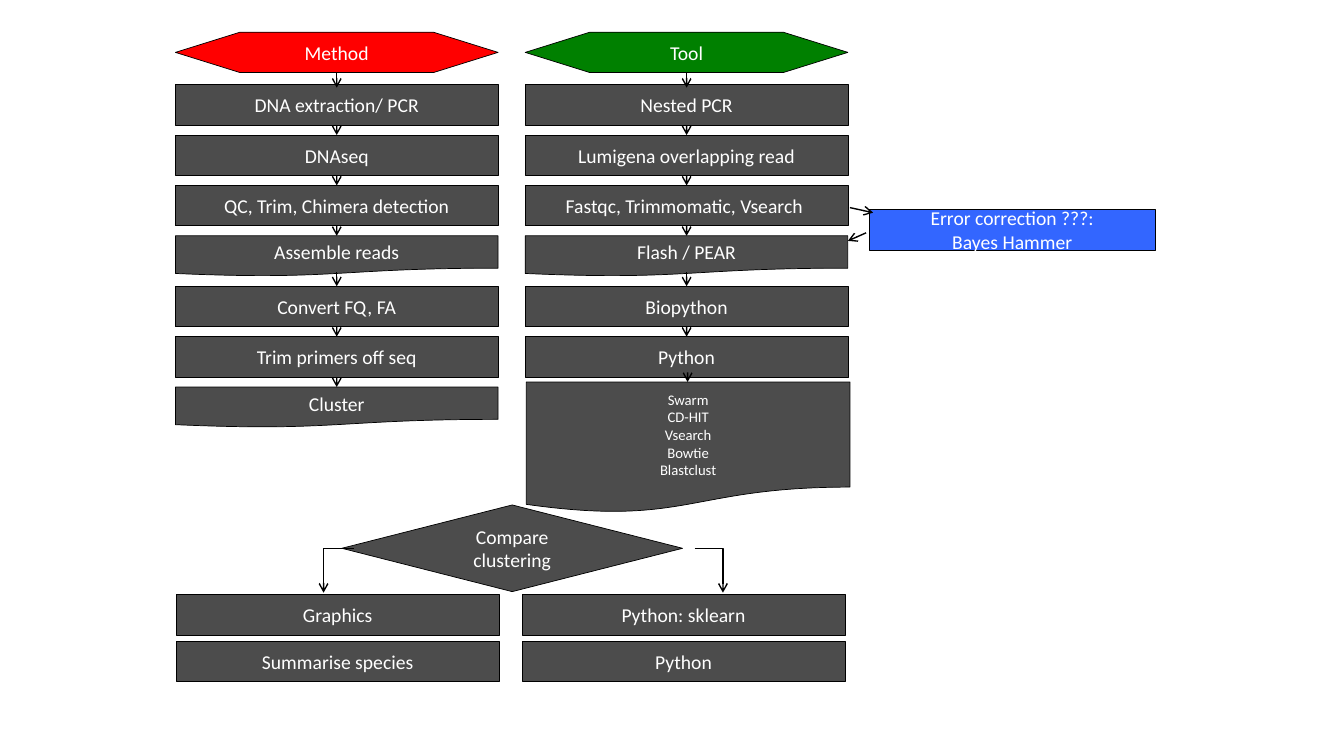
from dataclasses import dataclass

from lxml import etree
from pptx import Presentation
from pptx.dml.color import RGBColor
from pptx.enum import shapes as kinds, text as modes
from pptx.oxml import ns
from pptx.util import Inches, Pt

RED = RGBColor(0xFF, 0x00, 0x00)
GREEN = RGBColor(0x00, 0x80, 0x00)
BLUE = RGBColor(0x33, 0x66, 0xFF)
GREY = RGBColor(0x4C, 0x4C, 0x4C)
BLACK = RGBColor(0x00, 0x00, 0x00)
WHITE = RGBColor(0xFF, 0xFF, 0xFF)

FONT = "Calibri"
HEAD = kinds.MSO_SHAPE.FLOWCHART_PREPARATION
STEP = kinds.MSO_SHAPE.FLOWCHART_PROCESS
PAPER = kinds.MSO_SHAPE.FLOWCHART_DOCUMENT
CHOICE = kinds.MSO_SHAPE.FLOWCHART_DECISION

WIDE, HIGH = 3.2, 0.4
TOP, PITCH = 0.84, 0.5
HEAD_TOP = 0.32
LEFT, RIGHT = 1.74, 5.21


@dataclass(frozen=True)
class Box:
    lines: tuple[str, ...]
    x: float
    y: float
    w: float = WIDE
    h: float = HIGH
    kind: kinds.MSO_SHAPE = STEP
    fill: RGBColor = GREY
    size: float = 14


@dataclass(frozen=True)
class Arrow:
    x1: float
    y1: float
    x2: float
    y2: float
    bent: bool = False


@dataclass(frozen=True)
class Lane:
    x: float
    title: str
    fill: RGBColor
    steps: tuple[str, ...]


LANES = (
    Lane(LEFT, "Method", RED, (
        "DNA extraction/ PCR", "DNAseq", "QC, Trim, Chimera detection",
        "Assemble reads", "Convert FQ, FA", "Trim primers off seq", "Cluster")),
    Lane(RIGHT, "Tool", GREEN, (
        "Nested PCR", "Lumigena overlapping read", "Fastqc, Trimmomatic, Vsearch ",
        "Flash / PEAR", "Biopython", "Python")),
)
PAPERS = ("Assemble reads", "Flash / PEAR", "Cluster")

BOXES = (
    Box(("Swarm", "CD-HIT", "Vsearch", "Bowtie", "Blastclust"),
        5.22, 3.79, 3.21, 1.3, PAPER, size=10.5),
    Box(("Error correction ???:", "Bayes Hammer"), 8.62, 2.08, 2.84, fill=BLUE),
    Box(("Compare clustering",), 3.39, 5.01, 3.38, 0.86, CHOICE),
    Box(("Graphics",), 1.75, 5.9),
    Box(("Python: sklearn",), 5.18, 5.9),
    Box(("Summarise species",), 1.75, 6.36),
    Box(("Python",), 5.18, 6.36),
)
ARROWS = (
    Arrow(6.82, 3.73, 6.82, 3.79),
    Arrow(8.43, 2.06, 8.66, 2.11),
    Arrow(8.59, 2.31, 8.41, 2.39),
    Arrow(6.89, 5.44, 7.17, 5.88, True),
    Arrow(3.51, 5.44, 3.21, 5.88, True),
)


def draw_box(slide, box: Box) -> None:
    shape = slide.shapes.add_shape(
        box.kind, Inches(box.x), Inches(box.y), Inches(box.w), Inches(box.h))
    shape.shadow.inherit = False
    shape.fill.solid()
    shape.fill.fore_color.rgb = box.fill
    shape.line.color.rgb = BLACK
    shape.line.width = Pt(0.5)
    frame = shape.text_frame
    frame.word_wrap = True
    frame.vertical_anchor = modes.MSO_ANCHOR.MIDDLE
    for i, line in enumerate(box.lines):
        para = frame.add_paragraph() if i else frame.paragraphs[0]
        para.alignment = modes.PP_ALIGN.CENTER
        run = para.add_run()
        run.text = line
        run.font.name = FONT
        run.font.size = Pt(box.size)
        run.font.color.rgb = WHITE


def draw_arrow(slide, arrow: Arrow) -> None:
    kind = kinds.MSO_CONNECTOR.ELBOW if arrow.bent else kinds.MSO_CONNECTOR.STRAIGHT
    link = slide.shapes.add_connector(
        kind, Inches(arrow.x1), Inches(arrow.y1), Inches(arrow.x2), Inches(arrow.y2))
    link.line.color.rgb = BLACK
    link.line.width = Pt(1)
    props = link.element.spPr
    if arrow.bent:
        props.find(ns.qn("a:prstGeom")).set("prst", "bentConnector2")
    etree.SubElement(props.find(ns.qn("a:ln")), ns.qn("a:tailEnd"), type="arrow")
    etree.SubElement(props, ns.qn("a:effectLst"))


def draw_lane(slide, lane: Lane) -> None:
    draw_box(slide, Box((lane.title,), lane.x, HEAD_TOP, kind=HEAD, fill=lane.fill))
    tops = [TOP + PITCH * i for i in range(len(lane.steps))]
    for step, top in zip(lane.steps, tops):
        kind = PAPER if step in PAPERS else STEP
        draw_box(slide, Box((step,), lane.x, top, kind=kind))
    mid = lane.x + WIDE / 2
    draw_arrow(slide, Arrow(mid, HEAD_TOP + HIGH, mid, TOP + 0.03))
    for step, top, below in zip(lane.steps, tops, tops[1:]):
        start = top + HIGH - (0.04 if step in PAPERS else 0)
        draw_arrow(slide, Arrow(mid, start, mid, below))


def main() -> None:
    deck = Presentation()
    deck.slide_width, deck.slide_height = Inches(13.33), Inches(7.5)
    slide = deck.slides.add_slide(deck.slide_layouts[6])
    for lane in LANES:
        draw_lane(slide, lane)
    for box in BOXES:
        draw_box(slide, box)
    for arrow in ARROWS:
        draw_arrow(slide, arrow)
    deck.save("out.pptx")


if __name__ == "__main__":
    main()
